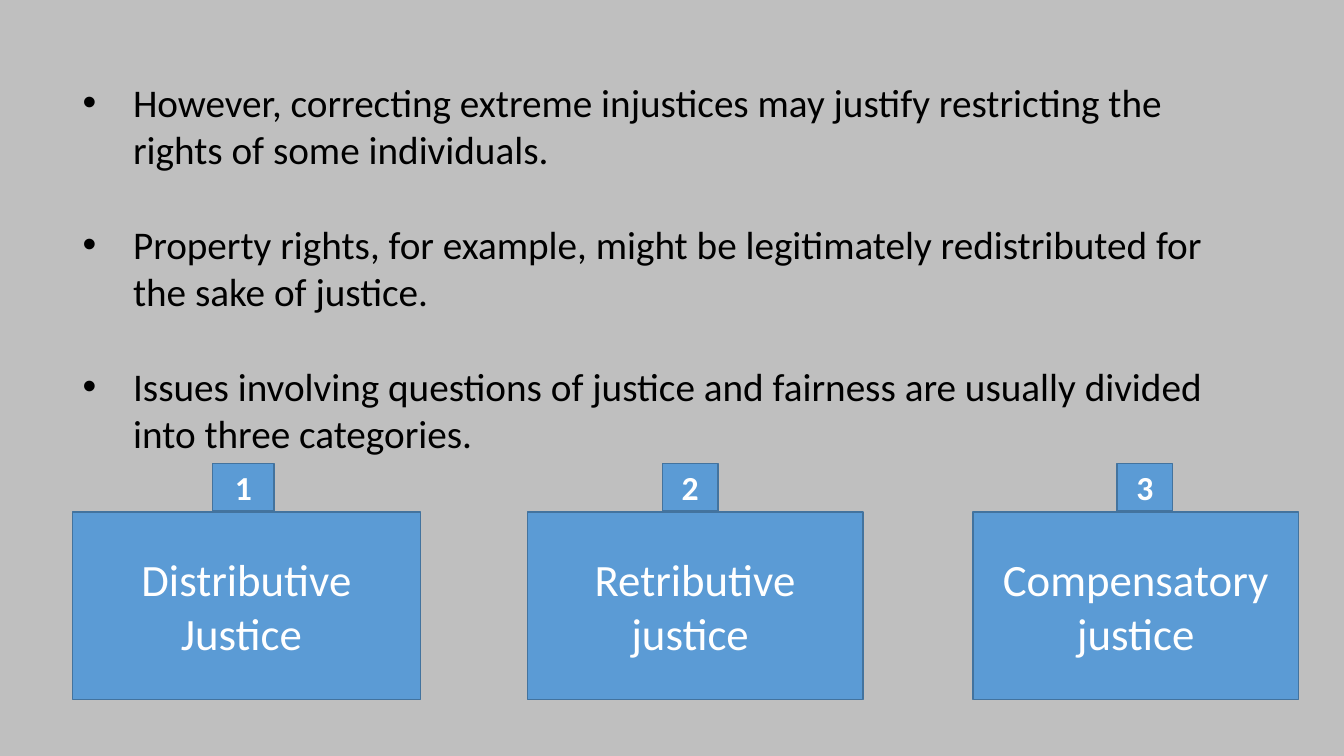
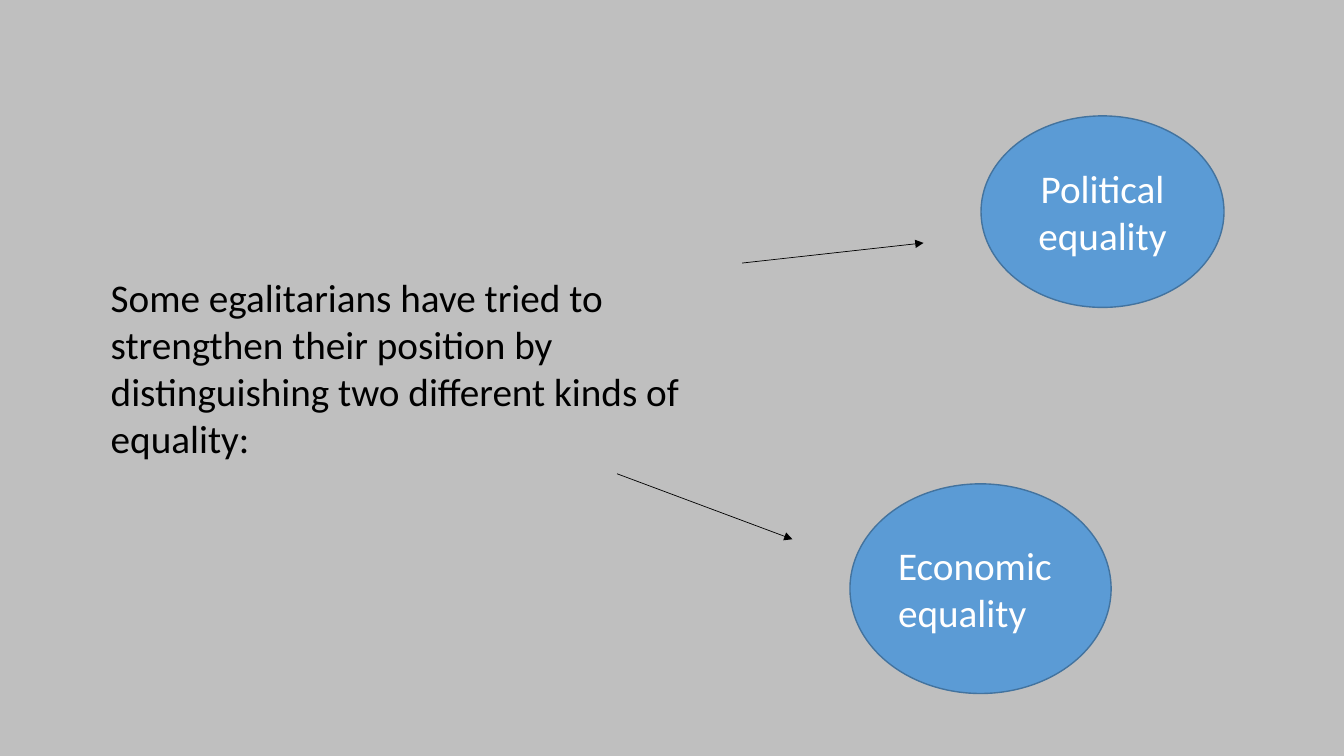
from dataclasses import dataclass

from lxml import etree
from pptx import Presentation
from pptx import util as u
from pptx.dml.color import RGBColor
from pptx.enum import shapes, text
from pptx.oxml import ns


@dataclass(frozen=True)
class Theme:
    font: str = "Calibri"
    background: RGBColor = RGBColor(0xBF, 0xBF, 0xBF)
    accent: RGBColor = RGBColor(0x5B, 0x9B, 0xD5)
    outline: RGBColor = RGBColor(0x43, 0x73, 0x9E)
    ink: RGBColor = RGBColor(0, 0, 0)
    light: RGBColor = RGBColor(0xFF, 0xFF, 0xFF)
    body: int = 28
    category: int = 32
    number: int = 24
    outline_width: float = 1
    arrow_width: float = 0.5


class Deck:
    """Holds the style and the slide being built."""

    LIST_LAYOUT, BLANK_LAYOUT = 1, 6

    def __init__(self, theme):
        self.theme = theme
        self.prs = Presentation()
        self.prs.slide_width = u.Inches(13.33)
        self.prs.slide_height = u.Inches(7.5)
        fill = self.prs.slide_master.background.fill
        fill.solid()
        fill.fore_color.rgb = theme.background
        self.slide = None

    def new_slide(self, layout):
        self.slide = self.prs.slides.add_slide(self.prs.slide_layouts[layout])

    def style(self, paragraph, size, color, align=text.PP_ALIGN.LEFT, bold=False):
        paragraph.alignment = align
        for run in paragraph.runs:
            font = run.font
            font.name, font.size, font.bold = self.theme.font, u.Pt(size), bold
            font.color.rgb = color

    def bullets(self, items, box, gap):
        """Fill the body placeholder with a bulleted list."""
        title = self.slide.shapes.title
        title.element.getparent().remove(title.element)
        body = self.slide.placeholders[1]
        body.left, body.top, body.width, body.height = map(u.Inches, box)
        frame = body.text_frame
        frame.auto_size = text.MSO_AUTO_SIZE.NONE
        frame.text = "\n".join(items)
        for index, paragraph in enumerate(frame.paragraphs):
            props = paragraph._p.get_or_add_pPr()
            props.set("marL", str(u.Inches(0.5)))
            props.set("indent", str(-u.Inches(0.5)))
            etree.SubElement(props, ns.qn("a:buFont"), typeface="Arial")
            etree.SubElement(props, ns.qn("a:buChar"), char="•")
            paragraph.space_before = u.Pt(gap if index else 0)
            self.style(paragraph, self.theme.body, self.theme.ink)

    def statement(self, words, box):
        frame = self.slide.shapes.add_textbox(*map(u.Inches, box)).text_frame
        frame.word_wrap = True
        frame.text = words
        self.style(frame.paragraphs[0], self.theme.body, self.theme.ink)

    def block(self, kind, words, box, size, align=text.PP_ALIGN.CENTER, bold=False):
        """Draw a filled shape with a label."""
        shape = self.slide.shapes.add_shape(kind, *map(u.Inches, box))
        shape.shadow.inherit = False
        shape.fill.solid()
        shape.fill.fore_color.rgb = self.theme.accent
        shape.line.color.rgb = self.theme.outline
        shape.line.width = u.Pt(self.theme.outline_width)
        frame = shape.text_frame
        frame.word_wrap = True
        frame.vertical_anchor = text.MSO_ANCHOR.MIDDLE
        frame.text = words
        self.style(frame.paragraphs[0], size, self.theme.light, align, bold)

    def arrow(self, start, end):
        line = self.slide.shapes.add_connector(
            shapes.MSO_CONNECTOR.STRAIGHT, *map(u.Inches, start + end))
        line.line.color.rgb = self.theme.ink
        line.line.width = u.Pt(self.theme.arrow_width)
        etree.SubElement(line.line._get_or_add_ln(), ns.qn("a:tailEnd"), type="triangle")
        etree.SubElement(line.element.spPr, ns.qn("a:effectLst"))


def justice_categories(deck):
    deck.new_slide(deck.LIST_LAYOUT)
    deck.bullets([
        "However, correcting extreme injustices may justify restricting the "
        "rights of some individuals.",
        "Property rights, for example, might be legitimately redistributed for "
        "the sake of justice.",
        "Issues involving questions of justice and fairness are usually divided "
        "into three categories.",
    ], box=(0.72, 0.73, 11.36, 3.87), gap=34)

    # Numbered categories: label, left and width, then number left and width
    categories = [
        ("Distributive Justice ", 0.72, 3.45, 2.11, 0.61),
        ("Retributive justice ", 5.23, 3.33, 6.57, 0.55),
        ("Compensatory justice", 9.65, 3.23, 11.08, 0.55),
    ]
    rectangle = shapes.MSO_SHAPE.RECTANGLE
    for number, (label, left, width, tag_left, tag_width) in enumerate(categories, 1):
        deck.block(rectangle, label, (left, 5.08, width, 1.86), deck.theme.category)
        deck.block(rectangle, str(number), (tag_left, 4.6, tag_width, 0.47),
                   deck.theme.number, bold=True)


def kinds_of_equality(deck):
    deck.new_slide(deck.BLANK_LAYOUT)
    deck.statement(
        "Some egalitarians have tried to strengthen their position by "
        "distinguishing two different kinds of equality:", (1, 2.66, 6.67, 1.99))

    # The two kinds, each pointed at by an arrow
    kinds = [
        ("Political equality", (9.73, 1.15, 2.41, 1.9), text.PP_ALIGN.CENTER,
         (7.36, 2.61), (9.16, 2.41)),
        ("Economic equality", (8.43, 4.8, 2.59, 2.08), text.PP_ALIGN.LEFT,
         (6.12, 4.7), (7.86, 5.35)),
    ]
    for label, box, align, start, end in kinds:
        deck.block(shapes.MSO_SHAPE.OVAL, label, box, deck.theme.body, align)
        deck.arrow(start, end)


def main():
    deck = Deck(Theme())
    justice_categories(deck)
    kinds_of_equality(deck)
    deck.prs.save("out.pptx")


if __name__ == "__main__":
    main()
